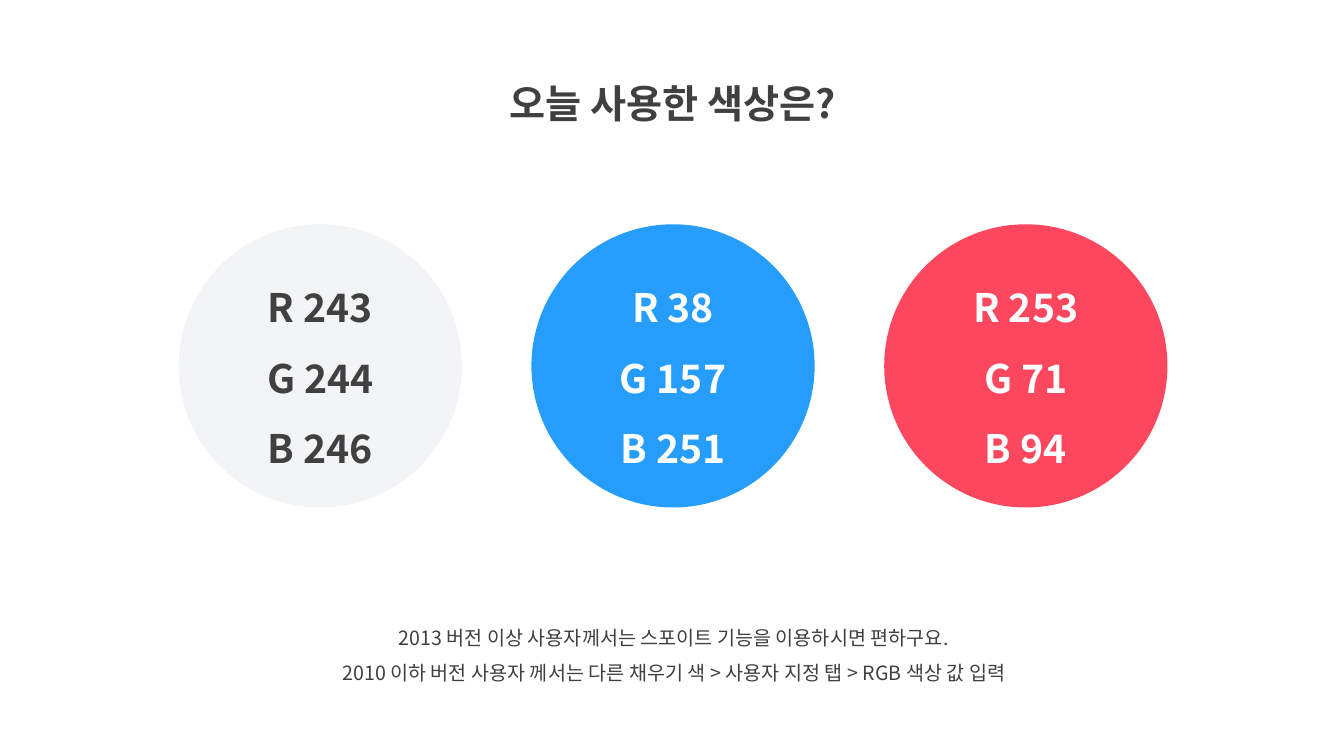
from pptx import Presentation
from pptx.dml.color import RGBColor as RGB
from pptx.enum.shapes import MSO_SHAPE as SHAPE
from pptx.enum.text import MSO_ANCHOR as ANCHOR, MSO_AUTO_SIZE as AUTO, PP_ALIGN as ALIGN
from pptx.oxml.ns import qn
from pptx.util import Pt
from lxml.etree import SubElement as Sub

FONT = "Noto Sans CJK KR"
DARK = RGB(64, 64, 64)
WHITE = RGB(255, 255, 255)
GRAY = RGB(243, 244, 246)
BLUE = RGB(38, 157, 251)
RED = RGB(253, 71, 94)


def place(shape, left, top, width, height):
    shape.left, shape.top = Pt(left), Pt(top)
    shape.width, shape.height = Pt(width), Pt(height)


def write(frame, lines, size, color, bold, anchor, fit):
    """Fill a frame with centred, unbulleted lines."""
    frame.word_wrap = True
    frame.auto_size = fit
    frame.vertical_anchor = anchor
    for i, line in enumerate(lines):
        para = frame.add_paragraph() if i else frame.paragraphs[0]
        para.alignment = ALIGN.CENTER
        para.line_spacing = 1.5
        para.space_before = Pt(0)
        props = para._p.get_or_add_pPr()
        props.set("marL", "0")
        props.set("indent", "0")
        Sub(props, qn("a:buNone"))
        run = para.add_run()
        run.text = line
        font = run.font
        font.size, font.bold, font.name = Pt(size), bold, FONT
        font.color.rgb = color
        Sub(run._r.get_or_add_rPr(), qn("a:ea")).set("typeface", FONT)


deck = Presentation()
deck.slide_width, deck.slide_height = Pt(960), Pt(540)
slide = deck.slides.add_slide(deck.slide_layouts[1])

title = slide.shapes.title
place(title, 313.9, 36, 333.4, 57.6)
write(title.text_frame, ["오늘 사용한 색상은?"], 28, DARK, True, ANCHOR.TOP, AUTO.SHAPE_TO_FIT_TEXT)

notes = [
    "2013 버전 이상 사용자께서는 스포이트 기능을 이용하시면 편하구요.",
    "2010 이하 버전 사용자 께서는 다른 채우기 색 > 사용자 지정 탭 > RGB 색상 값 입력",
]
body = slide.placeholders[1]
place(body, 193.7, 434.9, 575.3, 57.6)
write(body.text_frame, notes, 14, DARK, False, ANCHOR.TOP, AUTO.SHAPE_TO_FIT_TEXT)

SIZE, LEFT, STEP = 202.3, 127.6, 252
for i, (fill, ink) in enumerate([(GRAY, DARK), (BLUE, WHITE), (RED, WHITE)]):
    disc = slide.shapes.add_shape(
        SHAPE.OVAL, Pt(LEFT + i * STEP), Pt(160.2), Pt(SIZE), Pt(SIZE))
    disc.shadow.inherit = False
    disc.fill.solid()
    disc.fill.fore_color.rgb = fill
    disc.line.fill.background()
    lines = [f"{name} {value}" for name, value in zip("RGB", fill)]
    write(disc.text_frame, lines, 28, ink, True, ANCHOR.MIDDLE, AUTO.NONE)

deck.save("out.pptx")
